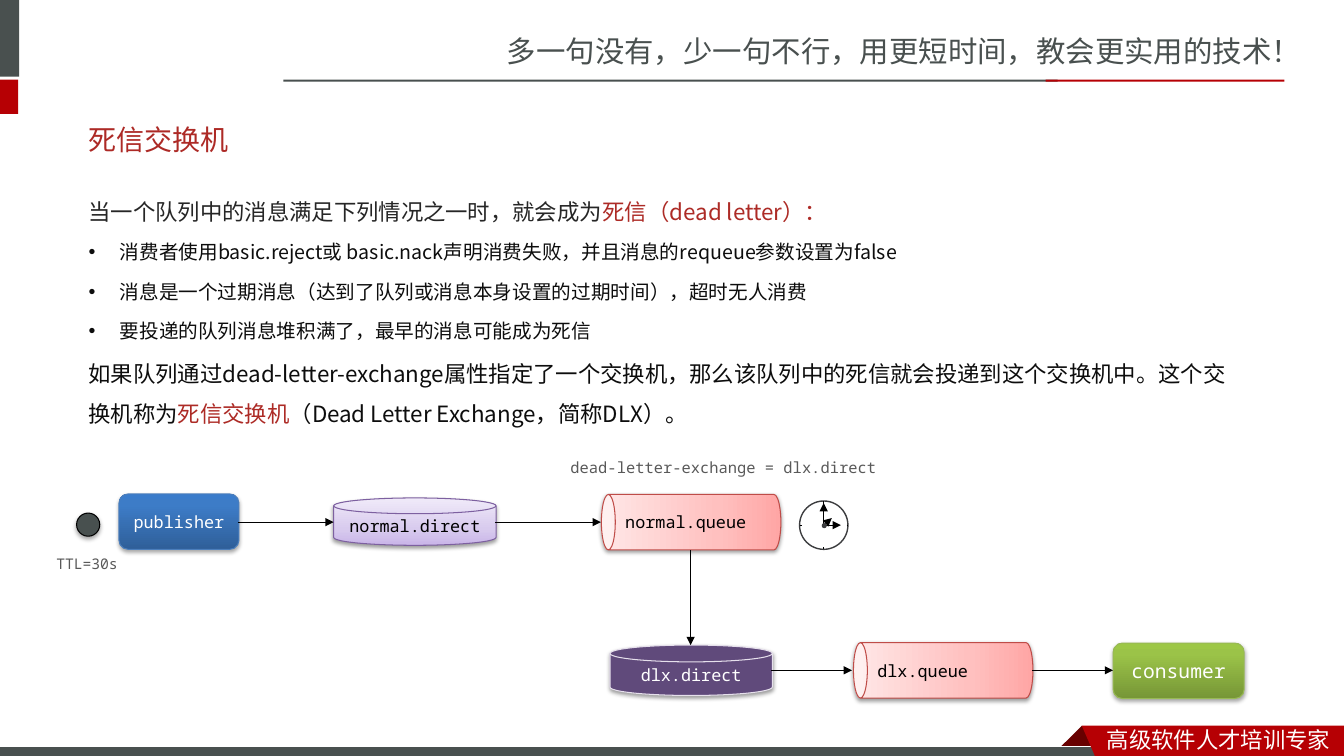
from lxml.etree import SubElement
from pptx import Presentation
from pptx.dml.color import RGBColor
from pptx.enum.shapes import MSO_CONNECTOR, MSO_SHAPE
from pptx.enum.text import MSO_ANCHOR, MSO_AUTO_SIZE, PP_ALIGN
from pptx.oxml import parse_xml
from pptx.oxml.ns import nsdecls, qn
from pptx.util import Pt

PX = 9144
SANS, CJK, MONO, LATO = "Noto Sans CJK SC", "Noto Sans CJK JP", "Noto Sans Mono", "Lato"
COLORS = {
    "slate": "49504F", "red": "B60004", "fold": "680000", "white": "FFFFFF",
    "black": "000000", "title": "AD2A26", "accent": "AD2B26", "lead": "262626",
    "body": "0D0D0D", "label": "595959", "clock": "3C3D3F", "message": "48504F",
    "blue_edge": "4B7EBC", "pink_edge": "BF4C48", "lilac_edge": "7D60A0",
    "purple": "604A7B", "purple_edge": "E6E0EC", "green_edge": "98B955",
}
GRADIENTS = {
    "blue": [(0, "2F5F99"), (80, "3D7CC7"), (100, "3A7CCB")],
    "pink": [(0, "FFA6A5"), (35, "FFC0BF"), (100, "FFE7E7")],
    "lilac": [(0, "C9B5E8"), (35, "D8CBEE"), (100, "F0EAF9")],
    "green": [(0, "779737"), (80, "9BC348"), (100, "9DC746")],
}


def rgb(name):
    """Look up a palette colour."""
    return RGBColor.from_string(COLORS[name])


def style_run(run, size, font, color):
    """Set size, both typefaces and colour of a run."""
    run.font.size = Pt(size)
    run.font.name = font
    run.font.color.rgb = rgb(color)
    east_asian = SANS if font == LATO else font
    run.font._element.find(qn("a:latin")).addnext(
        parse_xml(f'<a:ea {nsdecls("a")} typeface="{east_asian}"/>'))


def add_label(slide, box, text, size, font, color, wrap=True):
    """Place a one-paragraph text box."""
    label = slide.shapes.add_textbox(*(v * PX for v in box))
    frame = label.text_frame
    frame.text = text
    frame.word_wrap = wrap
    frame.auto_size = MSO_AUTO_SIZE.SHAPE_TO_FIT_TEXT
    style_run(frame.paragraphs[0].runs[0], size, font, color)
    return label


def paint(shape, fill=None, edge=None, width=0.75):
    """Apply a gradient, plain or empty fill and an optional outline."""
    shape.shadow.inherit = False
    if fill in GRADIENTS:
        stops = "".join(f'<a:gs pos="{pos * 1000}"><a:srgbClr val="{color}"/></a:gs>'
                        for pos, color in GRADIENTS[fill])
        shape._element.spPr.find(qn("a:prstGeom")).addnext(parse_xml(
            f'<a:gradFill {nsdecls("a")} rotWithShape="1"><a:gsLst>{stops}</a:gsLst>'
            '<a:lin ang="16200000" scaled="0"/></a:gradFill>'))
    elif fill:
        shape.fill.solid()
        shape.fill.fore_color.rgb = rgb(fill)
    else:
        shape.fill.background()
    if edge:
        shape.line.color.rgb = rgb(edge)
        shape.line.width = Pt(width)
    else:
        shape.line.fill.background()


def add_block(slide, kind, box, fill=None, edge=None, width=0.75):
    """Add a painted preset shape."""
    block = slide.shapes.add_shape(kind, *(v * PX for v in box))
    paint(block, fill, edge, width)
    return block


def add_polygon(slide, points, fill):
    """Add a closed outline without a border."""
    builder = slide.shapes.build_freeform(*points[0], scale=PX)
    builder.add_line_segments(points[1:], close=True)
    paint(builder.convert_to_shape(), fill)


def add_shadow(shape, opacity, distance):
    """Drop a soft shadow below the shape."""
    shape._element.spPr.find(qn("a:effectLst")).append(parse_xml(
        f'<a:outerShdw {nsdecls("a")} blurRad="{Pt(3.1)}" dist="{Pt(distance)}" dir="5400000" '
        f'rotWithShape="0"><a:srgbClr val="000000"><a:alpha val="{opacity * 1000}"/>'
        '</a:srgbClr></a:outerShdw>'))


def add_line(slide, start, end, arrow=True):
    """Draw a thin black line, with an arrowhead at its end if wanted."""
    line = slide.shapes.add_connector(
        MSO_CONNECTOR.STRAIGHT, *(v * PX for v in (*start, *end)))
    line.line.color.rgb = rgb("black")
    line.line.width = Pt(0.75)
    if arrow:
        SubElement(line.get_or_add_ln(), qn("a:tailEnd"), type="triangle")
    SubElement(line._element.spPr, qn("a:effectLst"))


def add_node(slide, kind, left, middle, width, height, text, fill, edge, color, size=12):
    """Add a captioned diagram node; queues are cans lying on their side."""
    box = (left, middle - height / 2, width, height)
    lying = kind == MSO_SHAPE.CAN
    if lying:
        box = (left + (width - height) / 2, middle - width / 2, height, width)
    node = add_block(slide, kind, [round(v) for v in box], fill, edge)
    rounded = kind == MSO_SHAPE.ROUNDED_RECTANGLE
    add_shadow(node, 35 if rounded else 38, 1.8 if rounded else 1.6)
    frame = node.text_frame
    frame.text = text
    frame.vertical_anchor = MSO_ANCHOR.MIDDLE
    frame.paragraphs[0].alignment = PP_ALIGN.CENTER
    style_run(frame.paragraphs[0].runs[0], size, MONO, color)
    if lying:
        node.rotation = 270
        frame._txBody.bodyPr.set("vert", "eaVert")


def draw_header(slide, box):
    """Draw the side marks, the slogan and its rule."""
    x, y, width, _ = box
    for left, top, w, h, fill in [
            (0, 0, 19, 76, "slate"), (0, 79, 18, 34, "red"),
            (width - 1052, 79, 768, 2, "slate"), (width - 296, 79, 237, 2, "red")]:
        add_block(slide, MSO_SHAPE.RECTANGLE, (x + left, y + top, w, h), fill)
    add_label(slide, (x + width - 840, y + 28, 840, 47),
              "多一句没有，少一句不行，用更短时间，教会更实用的技术！", 21, SANS, "slate")


def draw_footer(slide, box):
    """Draw the bottom strip with its ribbon."""
    x, y, width, height = box
    right, bottom = x + width, y + height
    ribbon = right - 260
    add_polygon(slide, [(ribbon, y), (ribbon + 22, y + 22), (ribbon + 21, y + 23),
                        (ribbon - 21, y + 23), (ribbon - 22, y + 22)], "fold")
    add_block(slide, MSO_SHAPE.RECTANGLE, (x - 1, y + 21, 1100, 12), "slate", "white")
    add_polygon(slide, [(ribbon, y), (right, y), (right, bottom), (ribbon + 13, bottom)], "red")
    add_label(slide, (right - 245, y - 5, 245, 37), "高级软件人才培训专家", 16, SANS, "white")


def draw_explanation(slide, box):
    """Write the heading, the conditions and the definition."""
    x, y, width, height = box
    heading = add_label(slide, (x, y, width, 57), "死信交换机", 20, LATO, "title")
    heading.text_frame.auto_size = MSO_AUTO_SIZE.NONE
    heading.text_frame.vertical_anchor = MSO_ANCHOR.MIDDLE
    frame = slide.shapes.add_textbox(
        x * PX, (y + 68) * PX, width * PX, (height - 68) * PX).text_frame
    frame.word_wrap = True
    paragraphs = [
        (16, False, [("当一个队列中的消息满足下列情况之一时，就会成为", "lead"),
                     ("死信（dead letter）：", "accent")]),
        (14, True, [("消费者使用basic.reject或 basic.nack声明消费失败，"
                     "并且消息的requeue参数设置为false", "body")]),
        (14, True, [("消息是一个过期消息（达到了队列或消息本身设置的过期时间），超时无人消费", "body")]),
        (14, True, [("要投递的队列消息堆积满了，最早的消息可能成为死信", "body")]),
        (16, False, [("如果队列通过dead-letter-exchange属性指定了一个交换机，"
                      "那么该队列中的死信就会投递到这个交换机中。这个交换机称为", "body"),
                     ("死信交换机", "accent"),
                     ("（Dead Letter Exchange，简称DLX）。", "body")]),
    ]
    for index, (size, bulleted, parts) in enumerate(paragraphs):
        paragraph = frame.add_paragraph() if index else frame.paragraphs[0]
        paragraph.line_spacing = 1.5
        paragraph.space_before = Pt(size * 0.2)
        if bulleted:
            properties = paragraph._p.get_or_add_pPr()
            properties.set("marL", str(31 * PX))
            properties.set("indent", str(-31 * PX))
            SubElement(properties, qn("a:buFont"), typeface="Arial")
            SubElement(properties, qn("a:buChar"), char="•")
        for text, color in parts:
            run = paragraph.add_run()
            run.text = text
            style_run(run, size, CJK, color)


def draw_clock(slide, box):
    """Draw the clock face, its ticks and its three hands."""
    x, y, size, _ = box
    add_block(slide, MSO_SHAPE.OVAL, box, edge="clock", width=1)
    cx, cy = x + size // 2, y + size // 2
    far_x, far_y = x + size, y + size
    for start, end in [((cx, y), (cx, y + 3)), ((cx, far_y - 2), (cx, far_y)),
                       ((far_x - 1, cy), (far_x, cy)), ((x, cy), (x + 2, cy))]:
        add_line(slide, start, end, arrow=False)
    for dx, dy in [(8, -7), (17, 0), (0, -22)]:
        add_line(slide, (cx, cy), (cx + dx, cy + dy))
    add_block(slide, MSO_SHAPE.OVAL, (cx - 2, cy - 2, 5, 5), "clock")


def draw_flow(slide, box):
    """Draw the route of a message from publisher to consumer."""
    x, y, _, _ = box
    upper, lower = y + 68, y + 215
    card, disk, can = (MSO_SHAPE.ROUNDED_RECTANGLE,
                       MSO_SHAPE.FLOWCHART_MAGNETIC_DISK, MSO_SHAPE.CAN)
    for kind, left, middle, width, height, *look in [
            (card, 72, upper, 119, 55, "publisher", "blue", "blue_edge", "white"),
            (disk, 285, upper, 161, 47, "normal.direct", "lilac", "lilac_edge", "black"),
            (can, 550, upper, 178, 55, "normal.queue", "pink", "pink_edge", "black"),
            (disk, 559, lower, 161, 50, "dlx.direct", "purple", "purple_edge", "white"),
            (can, 800, lower, 178, 55, "dlx.queue", "pink", "pink_edge", "black"),
            (card, 1058, lower, 130, 55, "consumer", "green", "green_edge", "white", 14)]:
        add_node(slide, kind, x + left, middle, width, height, *look)
    for start, end, middle in [(190, 285, upper), (445, 550, upper),
                               (719, 799, lower), (978, 1058, lower)]:
        add_line(slide, (x + start, middle), (x + end, middle))
    add_line(slide, (x + 639, upper + 28), (x + 639, lower - 25))
    message = add_block(slide, MSO_SHAPE.OVAL, (x + 30, y + 59, 23, 23), "message", "black")
    add_shadow(message, 35, 1.8)
    add_label(slide, (x, y + 96, 82, 28), "TTL=30s", 10.5, MONO, "label", wrap=False)
    add_label(slide, (x + 510, y, 327, 29), "dead-letter-exchange = dlx.direct",
              11, MONO, "label", wrap=False)
    draw_clock(slide, (x + 747, y + 47, 48, 48))


def main():
    """Build the slide and save it."""
    deck = Presentation()
    deck.slide_width, deck.slide_height = 1333 * PX, 750 * PX
    slide = deck.slides.add_slide(deck.slide_layouts[6])
    draw_header(slide, (0, 0, 1333, 113))
    draw_footer(slide, (0, 720, 1333, 30))
    draw_explanation(slide, (78, 110, 1170, 338))
    draw_flow(slide, (46, 450, 1188, 243))
    deck.save("out.pptx")


if __name__ == "__main__":
    main()
